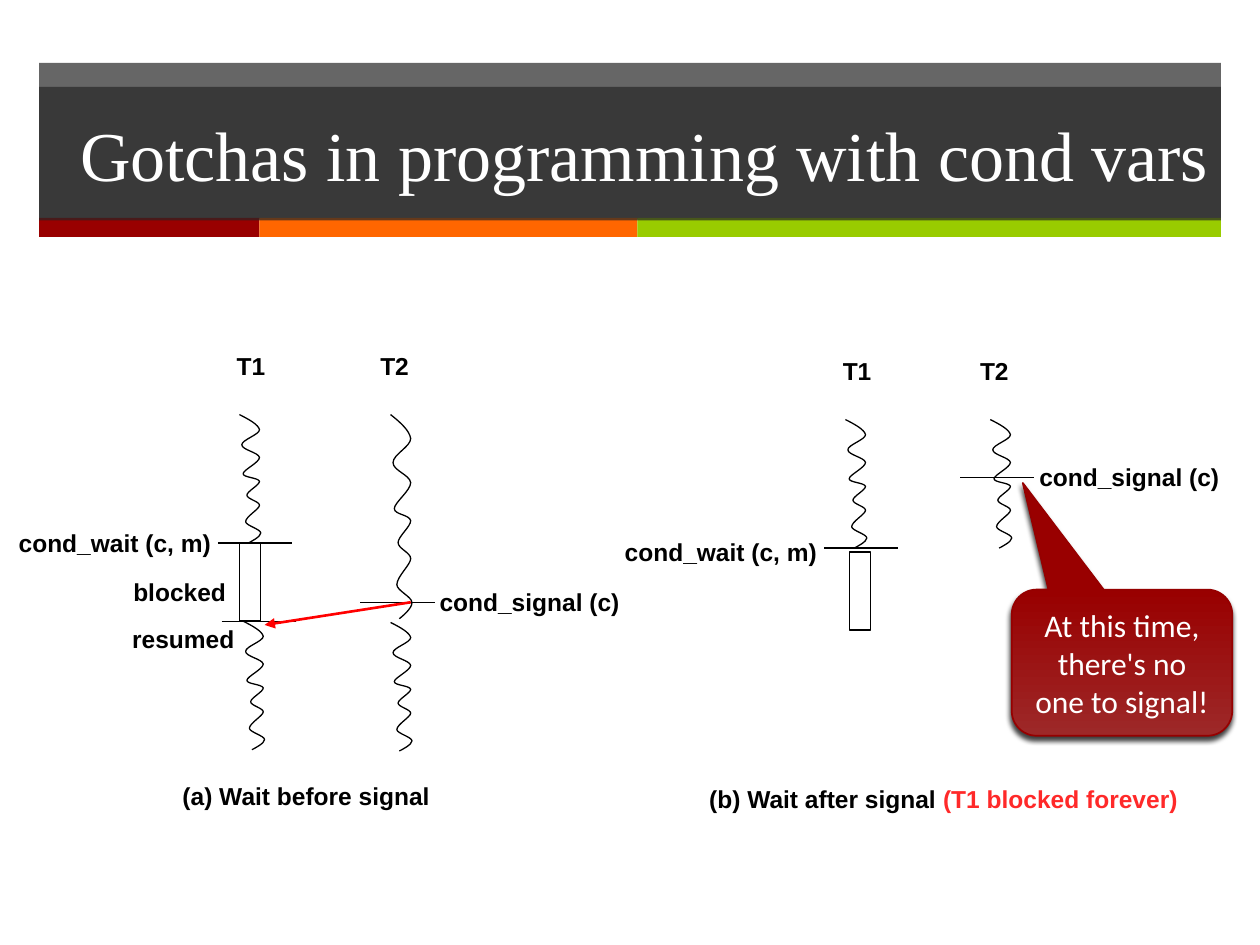
import pptx
import pptx.dml.color
import pptx.enum.shapes
import pptx.enum.text
import pptx.oxml
import pptx.oxml.ns
import pptx.util
from lxml import etree
from pptx.util import Inches

SHAPES = pptx.enum.shapes.MSO_SHAPE
ALIGN = pptx.enum.text.PP_ALIGN
ANCHOR = pptx.enum.text.MSO_ANCHOR
WAVE_WIDTH, WAVE_HEIGHT = 0.17, 1.02
WAVE = [
    (0, 0), (8, 4), (15, 8), (16, 12), (16, 16), (2, 20), (2, 24), (2, 28),
    (15, 30), (16, 34), (16, 38), (3, 44), (3, 47), (3, 50), (15, 50), (16, 53),
    (16, 56), (6, 61), (6, 64), (6, 67), (16, 69), (16, 72), (16, 75), (5, 81),
    (5, 85), (5, 88), (17, 91), (17, 94), (17, 97), (9, 101), (7, 102),
]


def color(value):
    return pptx.dml.color.RGBColor.from_string(value)


def add_child(parent, tag, **attributes):
    child = etree.SubElement(parent, pptx.oxml.ns.qn(tag))
    for name, value in attributes.items():
        child.set(name, str(value))
    return child


def write(para, text, size=14, font="Arial", fill="000000", bold=False):
    span = para.add_run()
    span.text = text
    span.font.size = pptx.util.Pt(size)
    span.font.name = font
    span.font.bold = bold
    span.font.color.rgb = color(fill)


def set_line(shape, fill="000000", width=0.75):
    shape.line.color.rgb = color(fill)
    shape.line.width = pptx.util.Pt(width)


def add_block(page, left, top, width, height, fill=None, alpha=None, kind=SHAPES.RECTANGLE):
    shape = page.shapes.add_shape(kind, Inches(left), Inches(top), Inches(width), Inches(height))
    shape.shadow.inherit = False
    if fill is None:
        shape.fill.background()
        set_line(shape)
    else:
        shape.fill.solid()
        shape.fill.fore_color.rgb = color(fill)
        shape.line.fill.background()
    if alpha is not None:
        tint = shape.element.spPr.find(".//" + pptx.oxml.ns.qn("a:srgbClr"))
        add_child(tint, "a:alpha", val=alpha * 1000)
    return shape


def add_label(page, left, top, width, *parts):
    box = page.shapes.add_textbox(Inches(left), Inches(top), Inches(width), Inches(0.33))
    box.text_frame.word_wrap = True
    for text, fill in parts:
        write(box.text_frame.paragraphs[0], text, fill=fill, bold=True)


def add_line(page, start, end, fill="000000", width=0.75, arrow=False):
    line = page.shapes.add_connector(
        pptx.enum.shapes.MSO_CONNECTOR.STRAIGHT, *map(Inches, (*start, *end)))
    set_line(line, fill, width)
    if arrow:
        add_child(line.line._get_or_add_ln(), "a:tailEnd", type="triangle")
    add_child(line.element.spPr, "a:effectLst")


def add_wave(page, left, top, height=WAVE_HEIGHT):
    stretch = height / WAVE_HEIGHT
    points = [(Inches(left + x / 100), Inches(top + y * stretch / 100)) for x, y in WAVE]
    builder = page.shapes.build_freeform(*points[0])
    builder.add_line_segments(points[1:], close=False)
    wave = builder.convert_to_shape()
    wave.shadow.inherit = False
    wave.fill.background()
    set_line(wave)
    outline = wave.element.spPr.find(".//" + pptx.oxml.ns.qn("a:path"))
    segments = outline.findall(pptx.oxml.ns.qn("a:lnTo"))
    for first in range(0, len(segments), 3):
        curve = add_child(outline, "a:cubicBezTo")
        for segment in segments[first:first + 3]:
            curve.append(segment[0])
            outline.remove(segment)


def draw_title(page, left, top, width):
    add_block(page, left, top, width, 1.24, "262626", 70)
    bar_left = left
    for bar_width, fill in ((1.75, "990000"), (3, "FF6600"), (4.63, "99CC00")):
        add_block(page, bar_left, top + 1.23, bar_width, 0.15, fill)
        bar_left += bar_width
    title = add_block(page, left, top + 0.19, width, 1.06, "262626", 70)
    title.text_frame.vertical_anchor = ANCHOR.MIDDLE
    para = title.text_frame.paragraphs[0]
    para.alignment = ALIGN.RIGHT
    write(para, "Gotchas in programming with cond vars", 40, "Times New Roman", "FFFFFF")


def draw_threads(page, left, top, second, signal, wait, block, second_height=WAVE_HEIGHT):
    black = "000000"
    add_label(page, left + 1.73, top, 0.59, ("T1", black))
    add_label(page, left + second - 0.18, top, 0.7, ("T2", black))
    add_wave(page, left + 1.85, top + 0.55)
    add_wave(page, left + second, top + 0.55, second_height)
    add_label(page, left, top + wait - 0.16, 1.83, ("cond_wait (c, m)", black))
    add_label(page, left + second + 0.29, top + signal - 0.17, 1.73, ("cond_signal (c)", black))
    for x, y in ((1.68, 1.57), (second - 0.24, signal)):
        add_line(page, (left + x, top + y), (left + x + 0.59, top + y))
    add_block(page, left + block[0], top + block[1], WAVE_WIDTH, 0.62)


def draw_wait_first(page, left, top):
    draw_threads(page, left, top, second=3.05, signal=2.04, wait=1.56,
                 block=(1.85, 1.57), second_height=1.62)
    add_label(page, left + 0.91, top + 1.79, 1.04, ("blocked", "000000"))
    add_label(page, left + 0.9, top + 2.16, 1.12, ("resumed", "000000"))
    add_wave(page, left + 1.88, top + 2.19)
    add_wave(page, left + 3.05, top + 2.2)
    add_line(page, (left + 1.71, top + 2.19), (left + 2.3, top + 2.19))
    add_line(page, (left + 3.21, top + 2.04), (left + 2.05, top + 2.22), "FF0000", 1.5, True)
    add_label(page, left + 1.3, top + 3.41, 2.27, ("(a) Wait before signal", "000000"))


def draw_signal_first(page, left, top):
    draw_threads(page, left, top, second=3, signal=1.01, wait=1.59, block=(1.88, 1.6))
    add_label(page, left + 0.67, top + 3.39, 4.01,
              ("(b) Wait after signal ", "000000"), ("(T1 blocked forever)", "FF2929"))


def draw_callout(page, left, top, width, height):
    callout = add_block(page, left, top, width, height, kind=SHAPES.ROUNDED_RECTANGULAR_CALLOUT)
    for index, value in enumerate((-0.45, -1.23, 0.17)):
        callout.adjustments[index] = value
    callout.fill.gradient()
    callout.fill.gradient_angle = 90
    for stop, fill in zip(callout.fill.gradient_stops, ("9D2828", "990000")):
        stop.color.rgb = color(fill)
    set_line(callout, "960000", 1)
    effects = callout.element.spPr.find(pptx.oxml.ns.qn("a:effectLst"))
    shadow = add_child(effects, "a:outerShdw", blurRad=pptx.util.Pt(3), dist=pptx.util.Pt(2),
                       dir=110 * 60000, rotWithShape=0)
    add_child(add_child(shadow, "a:srgbClr", val="000000"), "a:alpha", val=75000)
    frame = callout.text_frame
    frame.word_wrap = True
    frame.vertical_anchor = ANCHOR.MIDDLE
    frame.paragraphs[0].alignment = ALIGN.CENTER
    write(frame.paragraphs[0], "At this time, there's no one to signal!", 18, "Calibri", "FFFFFF")


def main():
    deck = pptx.Presentation()
    deck.slide_width, deck.slide_height = Inches(10), Inches(7.5)
    page = deck.slides.add_slide(deck.slide_layouts[6])
    draw_title(page, 0.31, 0.5, 9.38)
    draw_wait_first(page, 0.05, 2.74)
    draw_signal_first(page, 4.86, 2.78)
    draw_callout(page, 8.03, 4.68, 1.75, 1.16)
    deck.save("out.pptx")


if __name__ == "__main__":
    main()
